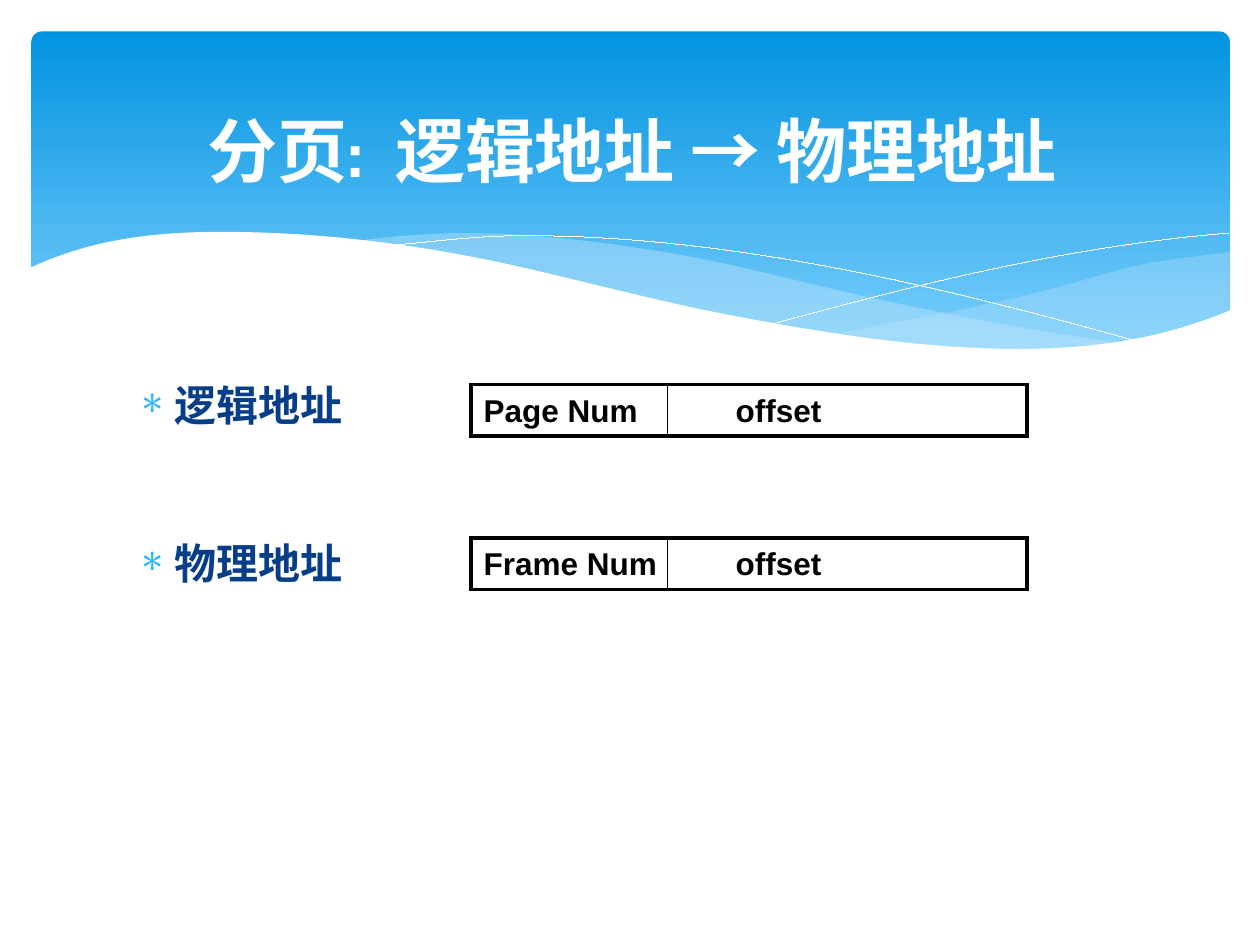
from lxml.etree import SubElement
from pptx import Presentation
from pptx.dml.color import RGBColor
from pptx.enum.shapes import MSO_CONNECTOR, MSO_SHAPE
from pptx.enum.text import MSO_ANCHOR, PP_ALIGN
from pptx.oxml.ns import qn
from pptx.util import Inches, Pt

WHITE, BLACK = "FFFFFF", "000000"
BANNER_TOP, BANNER_BOTTOM, PALE_BLUE = "0293E0", "83D3FE", "C6E7FC"
BULLET_BLUE, TEXT_BLUE = "31B6FD", "073E87"
HEADING_FONT, LABEL_FONT = "Cabin", "Arial"

# Each curve runs left to right through a few knots: (x, y, slope), in inches.
WHITE_CREST = [(0.23, 2.13, -0.47), (1.76, 1.84, 0), (4.18, 2.13, 0.23),
               (5.79, 2.5, 0.19), (8.09, 2.77, 0), (9.77, 2.46, -0.42)]
MIDDLE_TOP = [(2.86, 1.91, -0.14), (3.7, 1.85, 0), (5.27, 2, 0.16),
              (6.68, 2.31, 0.23), (8.93, 2.73, 0.14)]
MIDDLE_BOTTOM = [(2.86, 1.91, 0.14), (4.49, 2.22, 0.23), (6.18, 2.58, 0.18),
                 (8.07, 2.79, 0), (8.93, 2.73, -0.11)]
RIGHT_TOP = [(6.61, 2.65, -0.18), (8.32, 2.3, -0.25), (9.06, 2.1, -0.21), (9.76, 2, -0.15)]
RIGHT_BOTTOM = [(6.61, 2.65, 0.15), (8.03, 2.78, 0), (9.76, 2.47, -0.38)]
FALLING_LINE = [(3.09, 1.95, -0.1), (4.16, 1.87, 0), (6.65, 2.13, 0.19), (9.07, 2.72, 0.28)]
RISING_LINE = [(6.13, 2.57, -0.27), (7.76, 2.16, -0.22), (9.75, 1.85, -0.08)]
WAVE_FLOOR = 3.29

ADDRESSES = [("逻辑地址", "Page Num"), ("物理地址", "Frame Num")]
FIRST_ADDRESS_TOP, ADDRESS_STEP = 3.05, 1.22


def color(hex_text):
    return RGBColor.from_string(hex_text)


def smooth_curve(knots, steps=16):
    """Return points of the cubic Hermite curve through the knots."""
    points = [knots[0][:2]]
    for (x0, y0, slope0), (x1, y1, slope1) in zip(knots, knots[1:]):
        span = x1 - x0
        for step in range(1, steps + 1):
            t = step / steps
            blend = t * t * (3 - 2 * t)
            bend = span * t * (1 - t) * (slope0 * (1 - t) - slope1 * t)
            points.append((x0 + span * t, y0 + (y1 - y0) * blend + bend))
    return points


def add_outline(page, points, closed):
    start, *rest = [(Inches(x), Inches(y)) for x, y in points]
    builder = page.shapes.build_freeform(*start)
    builder.add_line_segments(rest, close=closed)
    shape = builder.convert_to_shape()
    shape.shadow.inherit = False
    return shape


def add_wave(page, upper, lower, fill, opacity=100):
    """Fill the area between two edges that both run left to right."""
    wave = add_outline(page, upper + lower[::-1], True)
    wave.fill.solid()
    wave.fill.fore_color.rgb = color(fill)
    wave.line.fill.background()
    if opacity < 100:
        tone = wave._element.spPr.find(qn("a:solidFill"))[0]
        SubElement(tone, qn("a:alpha"), val=str(opacity * 1000))


def add_hairline(page, points):
    curve = add_outline(page, points, False)
    curve.fill.background()
    curve.line.color.rgb = color(WHITE)
    curve.line.width = Pt(0.01)


def add_banner(page):
    banner = page.shapes.add_shape(
        MSO_SHAPE.ROUNDED_RECTANGLE, Inches(0.25), Inches(0.25), Inches(9.51), Inches(2.7))
    banner.adjustments[0] = 0.03
    banner.shadow.inherit = False
    banner.line.fill.background()
    banner.fill.gradient()
    banner.fill.gradient_angle = 270
    for stop, tone in zip(banner.fill.gradient_stops, (BANNER_TOP, BANNER_BOTTOM)):
        stop.color.rgb = color(tone)


def add_waves(page):
    for upper, lower, opacity in ((RIGHT_TOP, RIGHT_BOTTOM, 29), (MIDDLE_TOP, MIDDLE_BOTTOM, 40)):
        add_wave(page, smooth_curve(upper), smooth_curve(lower), PALE_BLUE, opacity)
    for knots in (FALLING_LINE, RISING_LINE):
        add_hairline(page, smooth_curve(knots))
    floor = [(WHITE_CREST[0][0], WAVE_FLOOR), (WHITE_CREST[-1][0], WAVE_FLOOR)]
    add_wave(page, smooth_curve(WHITE_CREST), floor, WHITE)


def add_span(para, text, size, tone, font):
    span = para.add_run()
    span.text = text
    span.font.size = Pt(size)
    span.font.bold = True
    span.font.name = font
    span.font.color.rgb = color(tone)
    return span


def add_text_box(page, left, top, width, height):
    box = page.shapes.add_textbox(Inches(left), Inches(top), Inches(width), Inches(height))
    box.text_frame.word_wrap = True
    return box.text_frame


def add_title(page):
    frame = add_text_box(page, 0.27, 0.75, 9.49, 0.88)
    frame.vertical_anchor = MSO_ANCHOR.MIDDLE
    para = frame.paragraphs[0]
    para.alignment = PP_ALIGN.CENTER
    add_span(para, "分页:", 40, WHITE, HEADING_FONT)
    gap = add_span(para, " ", 40, WHITE, HEADING_FONT)
    gap.font._element.set("spc", "900")  # widens the space after the colon
    for text, font in (("逻辑地址 ", HEADING_FONT), ("→", LABEL_FONT), (" 物理地址", HEADING_FONT)):
        add_span(para, text, 40, WHITE, font)


def add_bullet(para):
    props = para._p.get_or_add_pPr()
    props.set("marL", str(Inches(0.33)))
    props.set("indent", str(Inches(-0.3)))
    SubElement(SubElement(props, qn("a:buClr")), qn("a:srgbClr"), val=BULLET_BLUE)
    SubElement(props, qn("a:buFont"), typeface="Symbol")
    SubElement(props, qn("a:buChar"), char="∗")


def add_bullets(page, items):
    frame = add_text_box(page, 0.96, 3.01, 7.87, 3.67)
    for index, text in enumerate(items):
        para = frame.add_paragraph() if index else frame.paragraphs[0]
        para.line_spacing = 0.9
        if index:
            para.space_before = Pt(64.5)
        add_bullet(para)
        add_span(para, text, 24, TEXT_BLUE, HEADING_FONT)


def add_address(page, top, number):
    """Draw an address as a box divided into a number field and an offset field."""
    box = page.shapes.add_shape(
        MSO_SHAPE.RECTANGLE, Inches(3.74), Inches(top), Inches(4.41), Inches(0.41))
    box.shadow.inherit = False
    box.fill.background()
    box.line.color.rgb = color(BLACK)
    box.line.width = Pt(2)
    SubElement(box._element.spPr.find(qn("a:ln")), qn("a:miter"), lim="800000")
    box.text_frame.vertical_anchor = MSO_ANCHOR.TOP
    para = box.text_frame.paragraphs[0]
    para.alignment = PP_ALIGN.LEFT
    tabs = SubElement(para._p.get_or_add_pPr(), qn("a:tabLst"))
    SubElement(tabs, qn("a:tab"), pos=str(Inches(2)), algn="l")
    add_span(para, f"{number}\toffset", 18, BLACK, LABEL_FONT)

    divider = page.shapes.add_connector(
        MSO_CONNECTOR.STRAIGHT, Inches(5.3), Inches(top - 0.01), Inches(5.3), Inches(top + 0.42))
    divider.line.color.rgb = color(BLACK)
    divider.line.width = Pt(0.75)
    SubElement(divider._element.spPr, qn("a:effectLst"))


def main():
    deck = Presentation()
    deck.slide_width, deck.slide_height = Inches(10), Inches(7.5)
    page = deck.slides.add_slide(deck.slide_layouts[6])
    add_banner(page)
    add_waves(page)
    add_title(page)
    add_bullets(page, [name for name, number in ADDRESSES])
    for row, (name, number) in enumerate(ADDRESSES):
        add_address(page, FIRST_ADDRESS_TOP + row * ADDRESS_STEP, number)
    deck.save("out.pptx")


if __name__ == "__main__":
    main()
